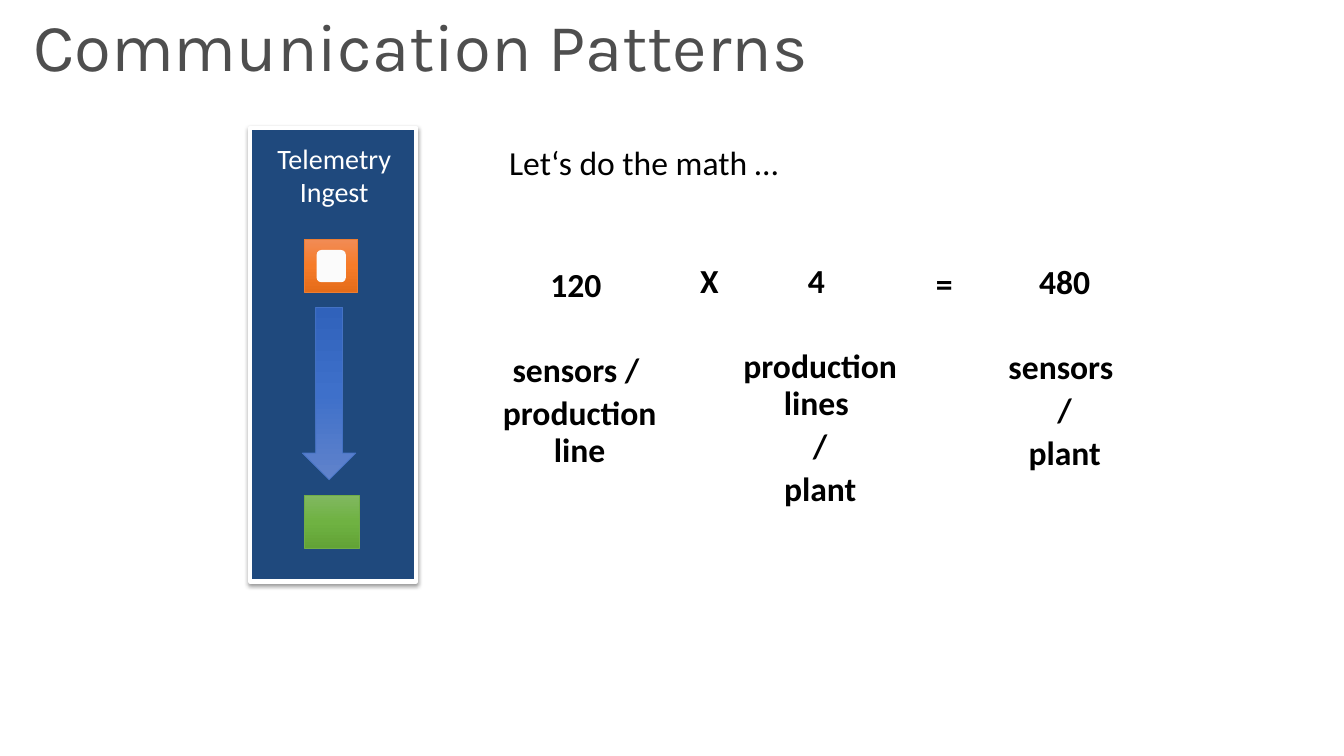
from copy import deepcopy

from pptx import Presentation
from pptx.dml.color import RGBColor
from pptx.enum.shapes import MSO_SHAPE as Shape
from pptx.enum.text import PP_ALIGN as Align
from pptx.oxml import parse_xml
from pptx.oxml.ns import nsdecls, qn
from pptx.util import Inches, Pt


def color(value):
    return RGBColor.from_string(value)


def write(box, lines, size=24, font="Calibri", fill="000000", bold=False,
          align=Align.LEFT, spacing=0.9, indent=0, before=0, gap=0):
    frame = box.text_frame
    for index, line in enumerate(lines):
        para = frame.add_paragraph() if index else frame.paragraphs[0]
        para.alignment = align
        para.line_spacing = spacing
        if index:
            para.space_before = Pt(gap if index == 1 and gap else before)
        if indent:
            properties = para._p.get_or_add_pPr()
            properties.set("marL", str(Inches(indent)))
            properties.set("indent", "0")
        span = para.add_run()
        span.text = line
        span.font.size = Pt(size)
        span.font.name = font
        span.font.bold = bold
        span.font.color.rgb = color(fill)


class Slide:
    math_insets = (0.16, 0.1, 0.16, 0.1)
    math_style = {"indent": 0.11, "before": 4.8, "gap": 35.3}

    def __init__(self, page):
        self.page = page

    def shape(self, kind, place, fill, line=None, width=0.5):
        shape = self.page.shapes.add_shape(kind, *map(Inches, place))
        shape.shadow.inherit = False
        if isinstance(fill, str):
            shape.fill.solid()
            shape.fill.fore_color.rgb = color(fill)
        else:
            self.gradient(shape, fill)
        if line:
            shape.line.color.rgb = color(line)
            shape.line.width = Pt(width)
        else:
            shape.line.fill.background()
        return shape

    def gradient(self, shape, shades):
        shape.fill.gradient()
        shape.fill.gradient_angle = 270
        stops = shape._element.spPr.find(qn("a:gradFill")).find(qn("a:gsLst"))
        stops.append(deepcopy(stops[0]))
        for index, (stop, shade) in enumerate(zip(shape.fill.gradient_stops, shades)):
            stop.color.rgb = color(shade)
            stop.position = index / 2

    def shadow(self, shape):
        effects = shape._element.spPr.find(qn("a:effectLst"))
        effects.append(parse_xml(
            f'<a:outerShdw {nsdecls("a")} blurRad="{Pt(3.1)}" dist="{Pt(1.6)}" '
            'dir="5400000" rotWithShape="0"><a:srgbClr val="000000">'
            '<a:alpha val="38000"/></a:srgbClr></a:outerShdw>'))

    def text(self, place, lines, insets=(0.1, 0.05, 0.1, 0.05), **style):
        box = self.page.shapes.add_textbox(*map(Inches, place))
        frame = box.text_frame
        frame.word_wrap = True
        (frame.margin_left, frame.margin_top,
         frame.margin_right, frame.margin_bottom) = map(Inches, insets)
        write(box, lines, **style)

    def math(self, place, lines, bold=True, align=Align.CENTER):
        self.text(place, lines, self.math_insets, bold=bold, align=align,
                  **self.math_style)


def main():
    deck = Presentation()
    deck.slide_width, deck.slide_height = Inches(13.33), Inches(7.5)
    slide = Slide(deck.slides.add_slide(deck.slide_layouts[6]))

    panel = slide.shape(Shape.RECTANGLE, (2.48, 1.27, 1.65, 4.5), "1F497D", "FFFFFF", 3)
    slide.shadow(panel)
    slide.shape(Shape.RECTANGLE, (3.02, 2.37, 0.53, 0.53),
                ("F18C57", "F67B28", "E56C19"), "ED7D31")
    slide.shape(Shape.ROUNDED_RECTANGLE, (3.14, 2.48, 0.29, 0.32), "FBFBFB")
    slide.shape(Shape.RECTANGLE, (3.02, 4.91, 0.54, 0.53),
                ("81B861", "6FB242", "62A336"), "70AD47")
    arrow = slide.shape(Shape.UP_ARROW, (3, 3.05, 0.53, 1.71),
                        ("6183CB", "3E70CA", "3062BB"), "4472C4")
    arrow.rotation = 180
    slide.text((2.53, 1.35, 1.57, 0.77), ["Telemetry", "Ingest"], size=20,
               fill="FFFFFF", align=Align.CENTER, spacing=1.0)

    slide.text((0.33, 0.13, 11.13, 0.73), ["Communication Patterns"],
               (0, 0, 0, 0), size=48, font="Karla", fill="4E4E4E")
    slide.math((4.78, 1.35, 3.44, 0.57), ["Let‘s do the math …"],
               bold=False, align=Align.LEFT)
    for place, lines in (
        ((4.53, 2.56, 2.33, 2.26), ["120 ", "sensors / ", "production line"]),
        ((6.69, 2.52, 0.58, 1.45), ["X"]),
        ((6.98, 2.52, 2.2, 3.59), ["4 ", "production lines ", "/", "plant"]),
        ((9.02, 2.55, 0.58, 0.57), ["="]),
        ((9.37, 2.53, 2.27, 3.23), ["480", "sensors ", "/", "plant"]),
    ):
        slide.math(place, lines)
    deck.save("out.pptx")


if __name__ == "__main__":
    main()
